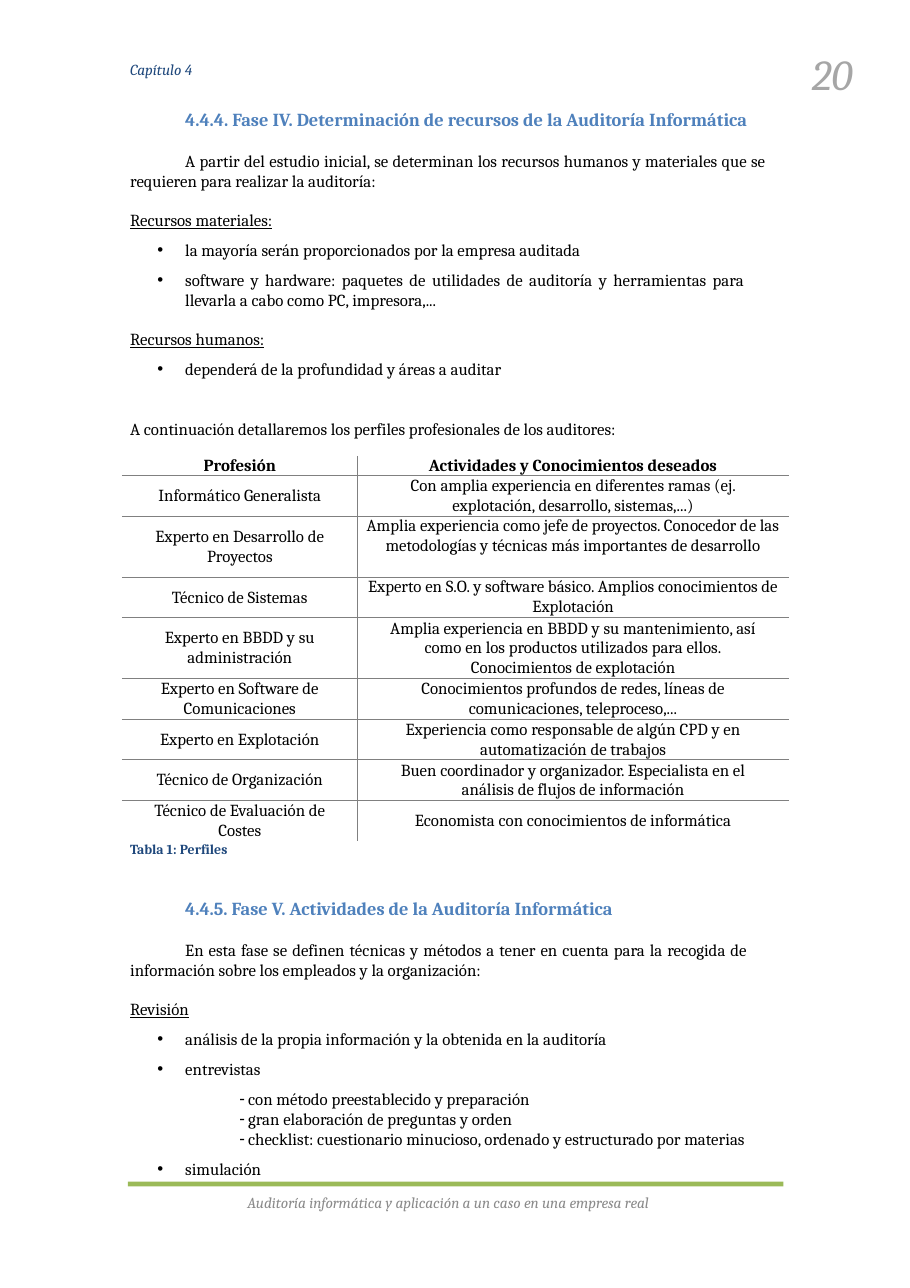
import pptx
import pptx.dml.color
import pptx.enum.shapes
import pptx.enum.text
import pptx.oxml
import pptx.oxml.ns
import pptx.util

Cm = pptx.util.Cm
Pt = pptx.util.Pt
ALIGN = pptx.enum.text.PP_ALIGN
ANCHOR = pptx.enum.text.MSO_ANCHOR

FONT = "Cambria"
BLACK, NAVY, BLUE = "000000", "1F487C", "4F81BC"
GREEN, GRAY, SILVER, RULE = "9BBA58", "8B8B8B", "A6A6A6", "808080"
LEFT, WIDTH, LINE = 3.0, 15.03, 12.9
HEAD, BODY, STEP = 2.55, 3.49, 18.19
INDENT = 1.27

NEEDS = [
    ("intro", "A partir del estudio inicial, se determinan los recursos humanos y materiales que se "
     "requieren para realizar la auditoría:", 0.36),
    ("label", "Recursos materiales:"),
    ("item", "la mayoría serán proporcionados por la empresa auditada"),
    ("item", "software y hardware: paquetes de utilidades de auditoría y herramientas para "
     "llevarla a cabo como PC, impresora,...", 0.86),
    ("label", "Recursos humanos:"),
    ("item", "dependerá de la profundidad y áreas a auditar"),
    ("lead", "A continuación detallaremos los perfiles profesionales de los auditores:"),
]
TASKS = [
    ("intro", "En esta fase se definen técnicas y métodos a tener en cuenta para la recogida de "
     "información sobre los empleados y la organización:", 0.79),
    ("label", "Revisión"),
    ("item", "análisis de la propia información y la obtenida en la auditoría"),
    ("item", "entrevistas"),
    ("first", "con método preestablecido y preparación"),
    ("sub", "gran elaboración de preguntas y orden"),
    ("sub", "checklist: cuestionario minucioso, ordenado y estructurado por materias"),
    ("item", "simulación"),
]
STYLES = {
    "intro": dict(indent=INDENT, align=ALIGN.JUSTIFY),
    "label": dict(before=12.6, under=True),
    "item": dict(before=6.7, left=INDENT, indent=-0.64, bullet="•", align=ALIGN.JUSTIFY),
    "lead": dict(before=26.3),
    "first": dict(before=6.7, left=2.72, indent=-0.2, bullet="-", level=1),
    "sub": dict(left=2.72, indent=-0.2, bullet="-", level=1),
}
ROLES = [
    ("Profesión", "Actividades y Conocimientos deseados", 0.18, 0.6),
    ("Informático Generalista",
     "Con amplia experiencia en diferentes ramas (ej. explotación, desarrollo, sistemas,...)", 0.37, 0.6),
    ("Experto en Desarrollo de Proyectos",
     "Amplia experiencia como jefe de proyectos. Conocedor de las "
     "metodologías y técnicas más importantes de desarrollo", 0.55, 0.1),
    ("Técnico de Sistemas",
     "Experto en S.O. y software básico. Amplios conocimientos de Explotación", 0.37, 0.1),
    ("Experto en BBDD y su administración",
     "Amplia experiencia en BBDD y su mantenimiento, así como en los productos utilizados para ellos.\n"
     "Conocimientos de explotación", 0.55, 0.6),
    ("Experto en Software de Comunicaciones",
     "Conocimientos profundos de redes, líneas de comunicaciones, teleproceso,...", 0.37, 0.6),
    ("Experto en Explotación",
     "Experiencia como responsable de algún CPD y en automatización de trabajos", 0.37, 0.6),
    ("Técnico de Organización",
     "Buen coordinador y organizador. Especialista en el análisis de flujos de información", 0.37, 0.6),
    ("Técnico de Evaluación de Costes", "Economista con conocimientos de informática", 0.37, 0.6),
]


def color(text):
    """Turn a hex string into a colour."""
    return pptx.dml.color.RGBColor.from_string(text)


def write(frame, text, size=11, tint=BLACK, bold=False, slant=False, under=False, align=ALIGN.LEFT,
          line=LINE, before=0, left=0, indent=0, right=0, bullet=None, level=0):
    """Add one formatted paragraph to a text frame."""
    para = frame.paragraphs[0]
    if para.runs:
        para = frame.add_paragraph()
    para.level, para.alignment = level, align
    para.space_before = Pt(before)
    if line:
        para.line_spacing = Pt(line)
    props = para._p.get_or_add_pPr()
    for name, value in (("marL", left), ("marR", right), ("indent", indent)):
        props.set(name, str(Cm(value)))
    mark = pptx.oxml.ns.qn("a:buChar" if bullet else "a:buNone")
    node = props.makeelement(mark, {"char": bullet} if bullet else {})
    props.append(node)
    run = para.add_run()
    run.text = text
    font = run.font
    font.name, font.size = FONT, Pt(size)
    font.bold, font.italic, font.underline = bold, slant, under
    font.color.rgb = color(tint)


def place(shape, left, top, width, height):
    """Move a text shape, clear its insets and return its frame."""
    shape.left, shape.top, shape.width, shape.height = Cm(left), Cm(top), Cm(width), Cm(height)
    frame = shape.text_frame
    frame.word_wrap = True
    frame.auto_size = pptx.enum.text.MSO_AUTO_SIZE.NONE
    frame.vertical_anchor = ANCHOR.TOP
    frame.margin_left = frame.margin_right = frame.margin_top = frame.margin_bottom = 0
    return frame


def label(slide, text, left, top, width, height, **style):
    """Add a text box with one line of text."""
    box = slide.shapes.add_textbox(0, 0, 0, 0)
    write(place(box, left, top, width, height), text, **style)


def section(shape, rows, top, height):
    """Fill a body placeholder with styled paragraphs."""
    frame = place(shape, LEFT, top, WIDTH, height)
    for kind, text, *right in rows:
        write(frame, text, right=right[0] if right else 0, **STYLES[kind])


def border(cell, sides):
    """Draw a thin rule or no rule on each side of a cell."""
    props = cell._tc.get_or_add_tcPr()
    space = pptx.oxml.ns.nsdecls("a")
    for side, shown in sides.items():
        fill = f'<a:solidFill><a:srgbClr val="{RULE}"/></a:solidFill>' if shown else "<a:noFill/>"
        props.append(pptx.oxml.parse_xml(f'<a:ln{side} {space} w="{Pt(0.75)}">{fill}</a:ln{side}>'))


def table(slide):
    """Add the table of auditor profiles."""
    frame = slide.shapes.add_table(len(ROLES), 2, Cm(2.81), Cm(10.51), Cm(15.37), Cm(8.84))
    grid = frame.table
    grid.first_row = grid.horz_banding = False
    grid.columns[0].width, grid.columns[1].width = Cm(5.44), Cm(9.93)
    last = len(ROLES) - 1
    for row, (job, skill, height, pad) in enumerate(ROLES):
        grid.rows[row].height = Cm(height * 2.54)
        for col, (text, gap) in enumerate(((job, 0.5), (skill, pad))):
            cell = grid.cell(row, col)
            border(cell, {"L": col, "R": not col, "T": row, "B": row < last})
            cell.fill.background()
            cell.margin_left = cell.margin_right = Cm(gap)
            cell.margin_top = cell.margin_bottom = 0
            cell.vertical_anchor = ANCHOR.TOP if gap < 0.5 else ANCHOR.MIDDLE
            for part in text.split("\n"):
                write(cell.text_frame, part, bold=row == 0, align=ALIGN.CENTER)


def bar(slide):
    """Add the green bar above the footer."""
    shape = slide.shapes.add_shape(pptx.enum.shapes.MSO_SHAPE.RECTANGLE,
                                   Cm(2.95), Cm(27.24), Cm(15.11), Cm(0.11))
    shape.shadow.inherit = False
    shape.fill.solid()
    shape.fill.fore_color.rgb = color(GREEN)
    shape.line.fill.background()


def main():
    """Build the page and save it."""
    deck = pptx.Presentation()
    deck.slide_width, deck.slide_height = Cm(20.98), Cm(29.69)
    slide = deck.slides.add_slide(deck.slide_layouts[3])
    title, needs, tasks = slide.placeholders
    head = dict(size=12, tint=BLUE, bold=True)
    spot = LEFT + INDENT

    label(slide, "Capítulo 4", LEFT, 1.38, 3, 0.5, size=10, tint=NAVY, slant=True, line=None)
    label(slide, "20", 18.72, 1.1, 1.6, 1.3, size=28, tint=SILVER, slant=True, line=None)
    write(place(title, spot, HEAD, 13.76, 0.5),
          "4.4.4. Fase IV. Determinación de recursos de la Auditoría Informática", **head)
    section(needs, NEEDS, BODY, 6.7)
    table(slide)
    label(slide, "Tabla 1: Perfiles", LEFT, 19.37, 5, 0.45, size=9, tint=NAVY, bold=True, line=None)
    label(slide, "4.4.5. Fase V. Actividades de la Auditoría Informática",
          spot, HEAD + STEP, 13.76, 0.5, **head)
    section(tasks, TASKS, BODY + STEP, 5.5)
    bar(slide)
    label(slide, "Auditoría informática y aplicación a un caso en una empresa real",
          5.33, 27.5, 10, 0.5, size=10, tint=GRAY, slant=True, align=ALIGN.CENTER, line=None)
    deck.save("out.pptx")


if __name__ == "__main__":
    main()
